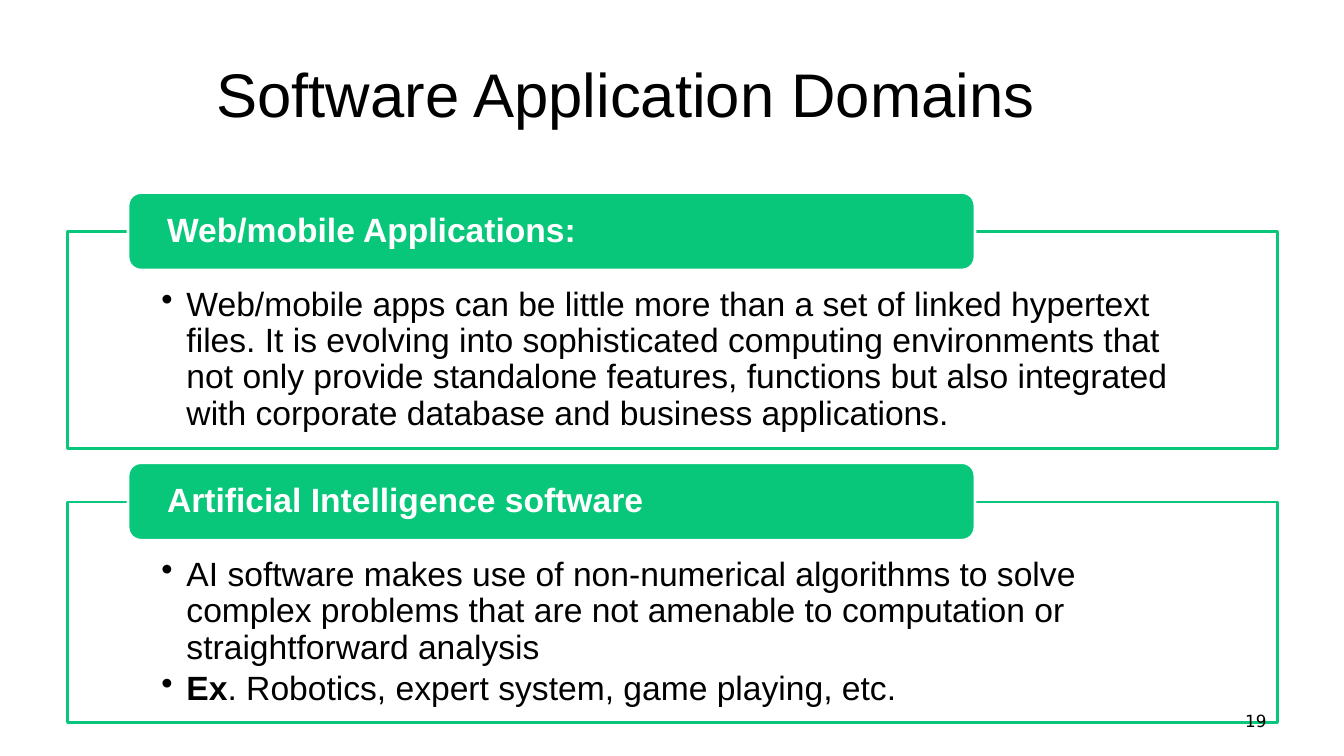
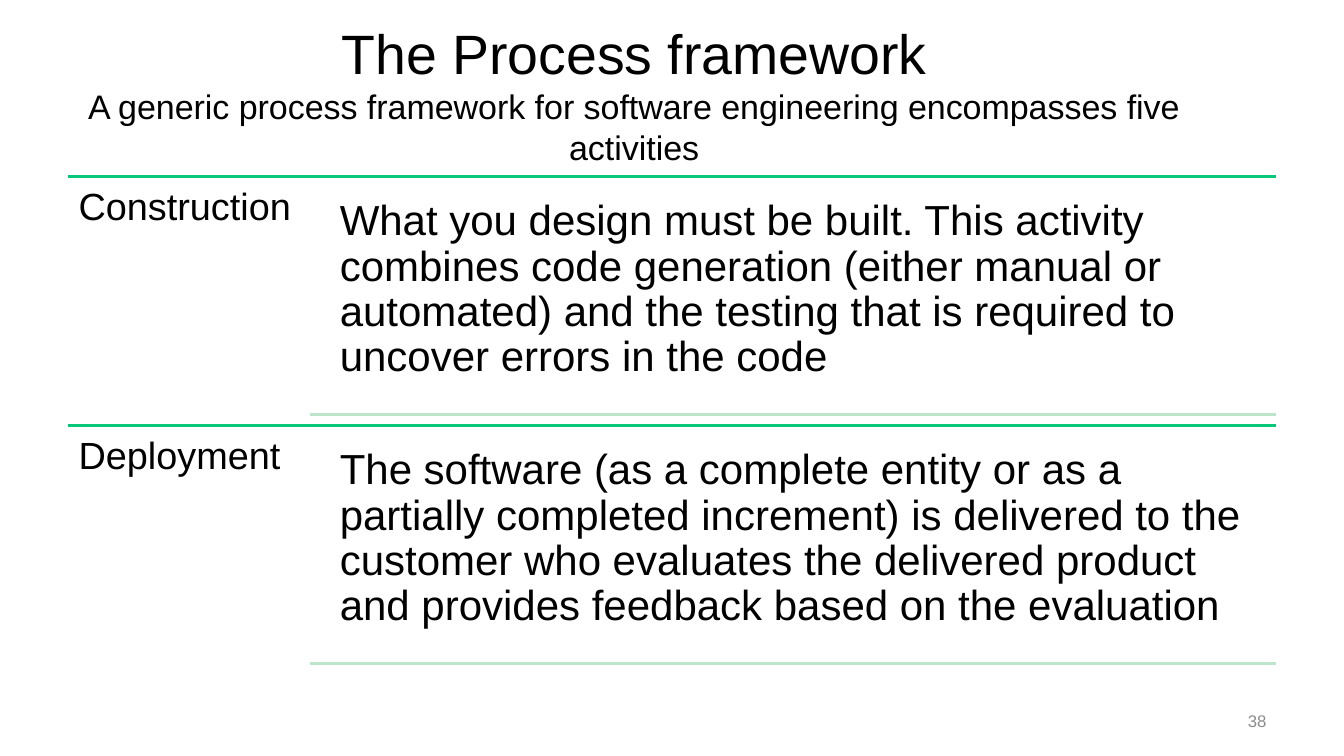
import dataclasses

import lxml.etree
import pptx
import pptx.dml.color
import pptx.enum.shapes
import pptx.enum.text
import pptx.oxml
import pptx.oxml.ns
import pptx.util

Inches = pptx.util.Inches
Pt = pptx.util.Pt
Align = pptx.enum.text.PP_ALIGN
Anchor = pptx.enum.text.MSO_ANCHOR
Shape = pptx.enum.shapes.MSO_SHAPE
qn = pptx.oxml.ns.qn


@dataclasses.dataclass(frozen=True)
class Theme:
    font: str = "Arial"
    number_font: str = "DejaVu Sans"
    ink: str = "000000"
    paper: str = "FFFFFF"
    green: str = "09C77A"
    pale_green: str = "BDE5CB"
    grey: str = "8C8C8C"
    title_size: float = 44
    compact_title_size: float = 39.6
    subtitle_size: float = 24.3
    card_size: float = 24
    label_size: float = 27
    body_size: float = 30
    number_size: float = 12
    line_width: float = 2


THEME = Theme()


def rgb(value):
    return pptx.dml.color.RGBColor.from_string(value)


def write(frame, paragraphs, size, color=THEME.ink, font=THEME.font, bold=False,
          align=Align.LEFT, anchor=Anchor.TOP, insets=(0.1, 0.05, 0.1, 0.05),
          spacing=None, after=0, bullet=False):
    frame.word_wrap = True
    frame.auto_size = pptx.enum.text.MSO_AUTO_SIZE.NONE
    frame.vertical_anchor = anchor
    frame.margin_left, frame.margin_top, frame.margin_right, frame.margin_bottom = map(Inches, insets)
    for index, runs in enumerate(paragraphs):
        paragraph = frame.paragraphs[0] if index == 0 else frame.add_paragraph()
        paragraph.alignment = align
        paragraph.line_spacing = spacing
        paragraph.space_after = Pt(after)
        if bullet:
            properties = paragraph._p.get_or_add_pPr()
            properties.set("marL", str(Inches(0.25)))
            properties.set("indent", str(-Inches(0.25)))
            lxml.etree.SubElement(properties, qn("a:buChar")).set("char", "•")
        for text, changes in runs:
            run = paragraph.add_run()
            run.text = text
            run.font.name = font
            run.font.size = Pt(changes.get("size", size))
            run.font.bold = changes.get("bold", bold)
            run.font.color.rgb = rgb(color)


class Deck:
    """Holds the theme and the current slide, and draws each kind of element."""

    def __init__(self, theme):
        self.theme = theme
        self.file = pptx.Presentation()
        self.file.slide_width = Inches(13.33)
        self.file.slide_height = Inches(7.5)
        self.slide = None

    def start(self, title, size, left, width):
        self.slide = self.file.slides.add_slide(self.file.slide_layouts[5])
        heading = self.slide.shapes.title
        heading.left, heading.top = Inches(left), Inches(0.3)
        heading.width, heading.height = Inches(width), Inches(1.25)
        write(heading.text_frame, title, size, align=Align.CENTER, anchor=Anchor.MIDDLE)

    def text(self, left, top, width, height, paragraphs, size, **style):
        box = self.slide.shapes.add_textbox(*map(Inches, (left, top, width, height)))
        write(box.text_frame, paragraphs, size, **style)

    def panel(self, kind, left, top, width, height, fill, line):
        panel = self.slide.shapes.add_shape(kind, *map(Inches, (left, top, width, height)))
        panel.shadow.inherit = False
        panel.fill.solid()
        panel.fill.fore_color.rgb = rgb(fill)
        panel.line.color.rgb = rgb(line)
        panel.line.width = Pt(self.theme.line_width)
        return panel

    def rule(self, left, top, color):
        rule = self.slide.shapes.add_connector(
            pptx.enum.shapes.MSO_CONNECTOR.STRAIGHT,
            Inches(left), Inches(top), Inches(12.66), Inches(top))
        rule.line.color.rgb = rgb(color)
        rule.line.width = Pt(self.theme.line_width)
        lxml.etree.SubElement(rule._element.spPr, qn("a:effectLst"))

    def card(self, top, height, heading, points):
        theme = self.theme
        body = self.panel(Shape.RECTANGLE, 0.67, top, 12, height, theme.paper, theme.green)
        fill_color = body._element.spPr.find(qn("a:solidFill"))[0]
        lxml.etree.SubElement(fill_color, qn("a:alpha")).set("val", "90000")
        write(body.text_frame, points, theme.card_size, spacing=0.9, after=3.6,
              bullet=True, insets=(0.93, 0.55, 0.93, 0.19))
        tab = self.panel(Shape.ROUNDED_RECTANGLE, 1.27, top - 0.39, 8.4, 0.77,
                         theme.green, theme.paper)
        write(tab.text_frame, [[(heading, {})]], theme.card_size, color=theme.paper,
              bold=True, anchor=Anchor.MIDDLE, spacing=0.9, insets=(0.35, 0, 0.35, 0))

    def activity(self, top, name, description):
        theme = self.theme
        self.rule(0.67, top, theme.green)
        self.text(0.67, top, 2.4, 2.47, [[(name, {})]], theme.label_size,
                  spacing=0.9, insets=(0.11,) * 4)
        self.text(3.25, top + 0.11, 9.42, 2.25, [[(description, {})]], theme.body_size,
                  spacing=0.9, insets=(0.12,) * 4)
        self.rule(3.07, top + 2.36, theme.pale_green)

    def number(self, value, color, font):
        self.text(9.55, 6.95, 3.11, 0.4, [[(value, {})]], self.theme.number_size,
                  color=color, font=font, align=Align.RIGHT, anchor=Anchor.MIDDLE)


def main():
    deck = Deck(THEME)

    deck.start([[("Software Application Domains", {})]], THEME.title_size, 0.67, 11.08)
    deck.card(2.3, 2.15, "Web/mobile Applications:", [
        [("Web/mobile apps can be little more than a set of linked hypertext files. "
          "It is evolving into sophisticated computing environments that not only "
          "provide standalone features, functions but also integrated with corporate "
          "database and business applications.", {})],
    ])
    deck.card(4.98, 2.19, "Artificial Intelligence software", [
        [("AI software makes use of non-numerical algorithms to solve complex problems "
          "that are not amenable to computation or straightforward analysis", {})],
        [("Ex", {"bold": True}), (". Robotics, expert system, game playing, etc.", {})],
    ])
    deck.number("19", THEME.ink, THEME.number_font)

    deck.start([
        [("The Process framework", {})],
        [("A generic process framework for software engineering encompasses five activities",
          {"size": THEME.subtitle_size})],
    ], THEME.compact_title_size, 0.09, 12.4)
    activities = [
        ("Construction",
         "What you design must be built. This activity combines code generation (either "
         "manual or automated) and the testing that is required to uncover errors in the code"),
        ("Deployment",
         "The software (as a complete entity or as a partially completed increment) is "
         "delivered to the customer who evaluates the delivered product and provides "
         "feedback based on the evaluation"),
    ]
    for row, (name, description) in enumerate(activities):
        deck.activity(1.75 + row * 2.47, name, description)
    deck.number("38", THEME.grey, THEME.font)

    deck.file.save("out.pptx")


if __name__ == "__main__":
    main()
